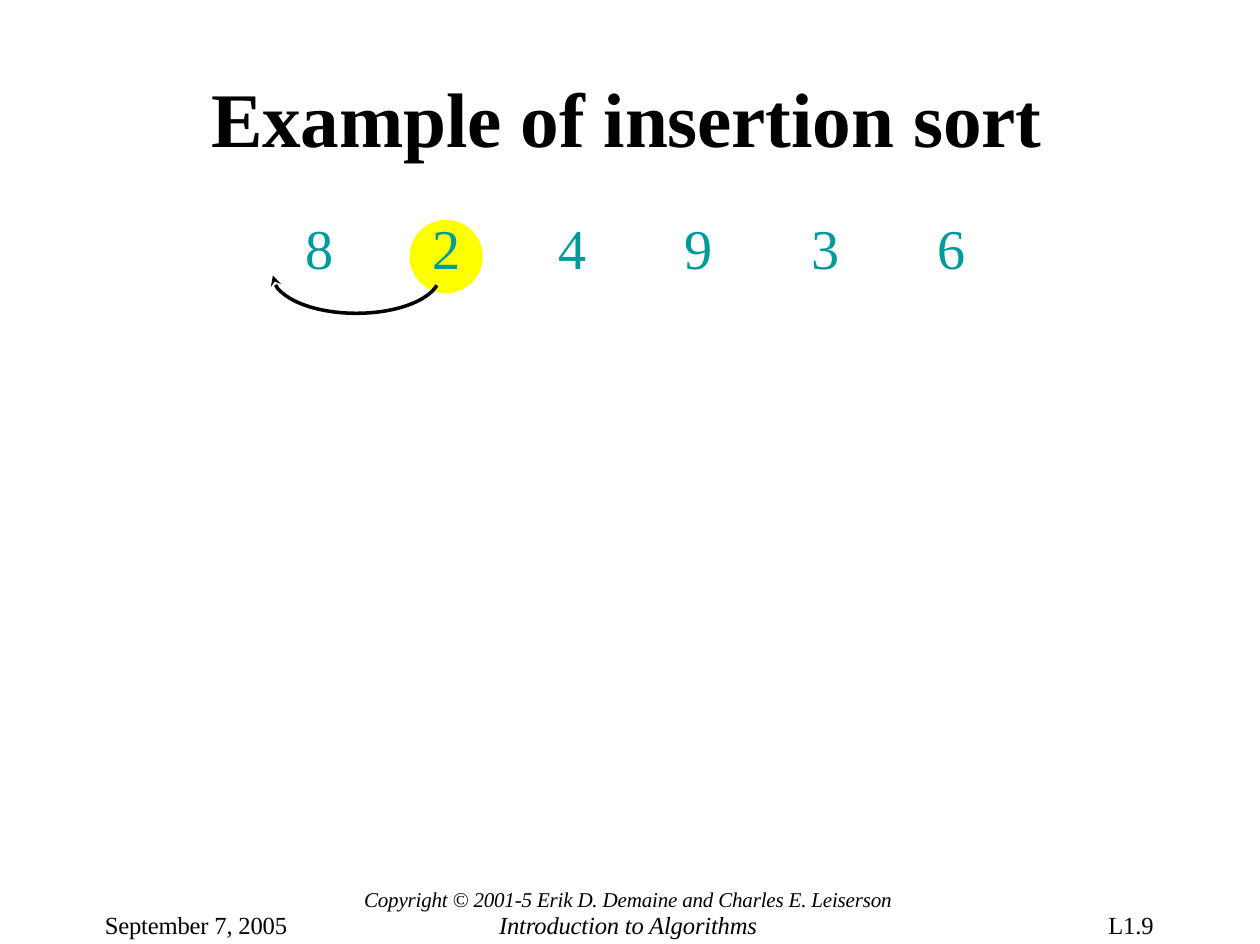
"""Build the insertion sort slide: a row of numbers with the moving key highlighted."""
from dataclasses import dataclass

from lxml.etree import SubElement
from pptx import Presentation
from pptx.dml.color import RGBColor
from pptx.enum.shapes import MSO_SHAPE as Preset
from pptx.enum.text import PP_ALIGN as Align
from pptx.oxml.ns import qn
from pptx.util import Inches, Pt


@dataclass(frozen=True)
class Theme:
    font: str = "Times New Roman"
    ink: RGBColor = RGBColor(0, 0, 0)
    number: RGBColor = RGBColor(0x00, 0x9A, 0x9A)
    highlight: RGBColor = RGBColor(0xFF, 0xFF, 0x00)
    title_size: int = 44
    number_size: int = 32
    footer_size: int = 14
    copyright_size: int = 12
    arrow_width: float = 2
    tracking: str = "-10"


THEME = Theme()
NUMBERS = (8, 2, 4, 9, 3, 6)


def add_box(slide, left, top, width, height):
    text_frame = slide.shapes.add_textbox(
        Inches(left), Inches(top), Inches(width), Inches(height)).text_frame
    text_frame.word_wrap = True
    text_frame.margin_left = text_frame.margin_right = 0
    text_frame.margin_top = text_frame.margin_bottom = 0
    return text_frame


def write(paragraph, text, size, color=THEME.ink, bold=False, italic=False,
          align=Align.LEFT, line_points=None, tracking=THEME.tracking):
    paragraph.alignment = align
    if line_points:
        paragraph.line_spacing = Pt(line_points)
    run = paragraph.add_run()
    run.text = text
    run.font.name = THEME.font
    run.font.size = Pt(size)
    run.font.bold = bold
    run.font.italic = italic
    run.font.color.rgb = color
    run.font._element.set("spc", tracking)


def add_tab_stops(paragraph, positions):
    tab_list = SubElement(paragraph._p.get_or_add_pPr(), qn("a:tabLst"))
    for position in positions:
        SubElement(tab_list, qn("a:tab"), pos=str(Inches(position)), algn="l")


def add_number_row(slide, numbers, left, top, pitch):
    paragraph = add_box(slide, left, top, 5.25, 0.53).paragraphs[0]
    write(paragraph, "\t".join(map(str, numbers)), THEME.number_size,
          color=THEME.number, tracking="0")
    add_tab_stops(paragraph, [pitch * step for step in range(1, len(numbers))])


def add_highlight(slide, left, top, diameter):
    circle = slide.shapes.add_shape(
        Preset.OVAL, Inches(left), Inches(top), Inches(diameter), Inches(diameter))
    circle.shadow.inherit = False
    circle.fill.solid()
    circle.fill.fore_color.rgb = THEME.highlight
    circle.line.fill.background()


def add_arc_arrow(slide, left, top, width, height, start, end):
    arc = slide.shapes.add_shape(
        Preset.ARC, Inches(left), Inches(top), Inches(width), Inches(height))
    arc.shadow.inherit = False
    for index, degrees in enumerate((start, end)):
        arc.adjustments[index] = degrees * 60000 / 100000
    arc.fill.background()
    arc.line.color.rgb = THEME.ink
    arc.line.width = Pt(THEME.arrow_width)
    SubElement(arc.line._get_or_add_ln(), qn("a:tailEnd"), type="stealth")


def add_footer(slide):
    center = add_box(slide, 2.82, 7.05, 4.3, 0.4)
    write(center.paragraphs[0],
          "Copyright © 2001-5 Erik D. Demaine and Charles E. Leiserson",
          THEME.copyright_size, italic=True, align=Align.CENTER, line_points=11.9)
    write(center.add_paragraph(), "Introduction to Algorithms",
          THEME.footer_size, italic=True, align=Align.CENTER, line_points=15.6)
    for text, left, width in (("September 7, 2005", 0.83, 1.49), ("L1.9", 8.77, 0.45)):
        write(add_box(slide, left, 7.22, width, 0.22).paragraphs[0], text,
              THEME.footer_size, line_points=15.1)


def main():
    presentation = Presentation()
    presentation.slide_width = Inches(9.97)
    presentation.slide_height = Inches(7.47)
    slide = presentation.slides.add_slide(presentation.slide_layouts[6])
    title = add_box(slide, 1.67, 0.56, 6.75, 0.73)
    write(title.paragraphs[0], "Example of insertion sort", THEME.title_size, bold=True)
    add_highlight(slide, 3.24, 1.74, 0.58)
    add_number_row(slide, NUMBERS, left=2.42, top=1.69, pitch=1)
    add_arc_arrow(slide, 2.16, 1.88, 1.32, 0.6, start=7, end=180)
    add_footer(slide)
    presentation.save("out.pptx")


if __name__ == "__main__":
    main()
